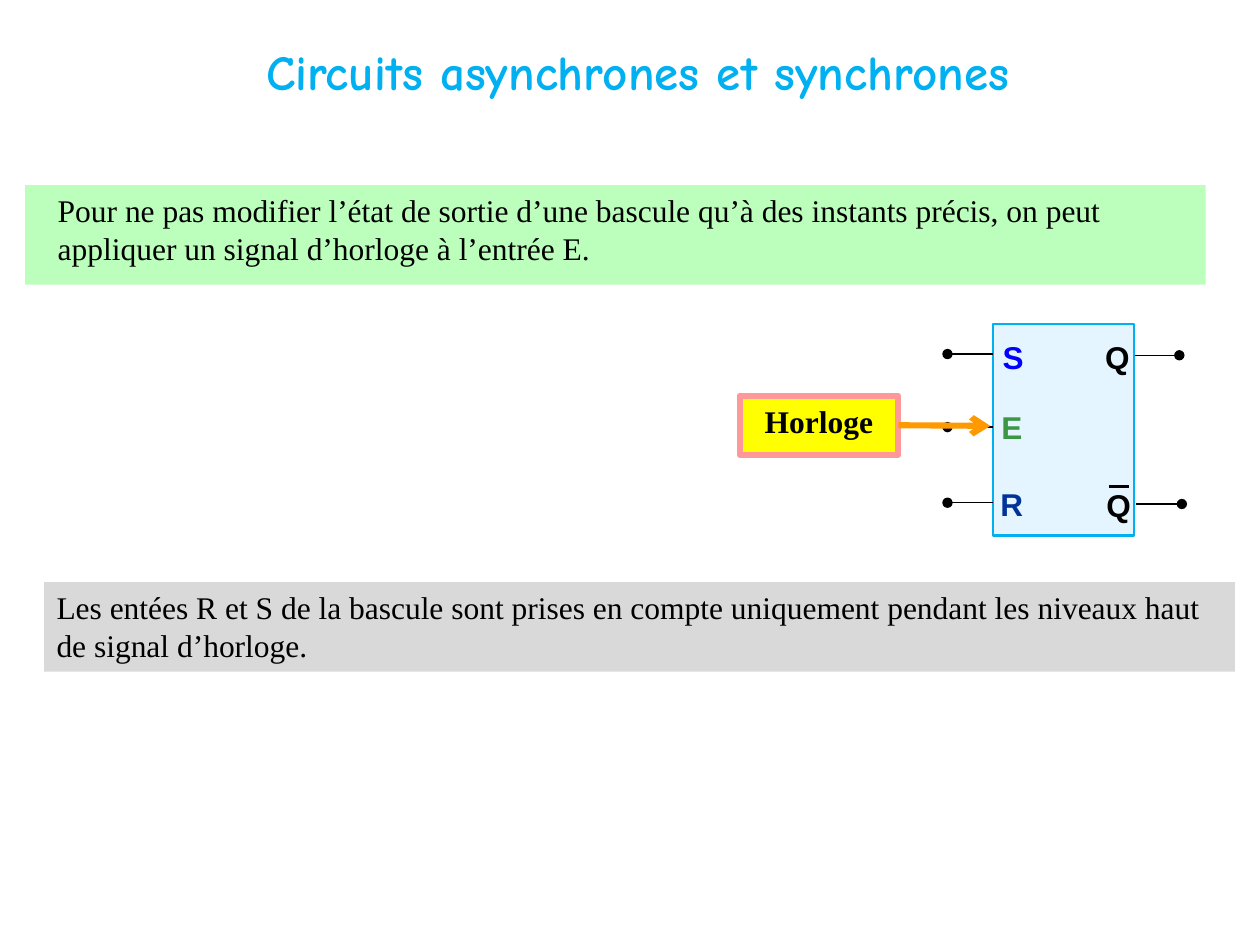
from typing import NamedTuple

from lxml.etree import SubElement
from pptx import Presentation
from pptx.dml.color import RGBColor
from pptx.enum.shapes import MSO_CONNECTOR, MSO_SHAPE
from pptx.enum.text import MSO_ANCHOR, MSO_AUTO_SIZE, PP_ALIGN
from pptx.oxml.ns import qn
from pptx.util import Inches, Pt

BLACK = RGBColor(0x00, 0x00, 0x00)
SKY = RGBColor(0x00, 0xB0, 0xF0)
PALE_BLUE = RGBColor(0xCC, 0xEC, 0xFF)
PALE_GREEN = RGBColor(0xBC, 0xFF, 0xBC)
GREY = RGBColor(0xD9, 0xD9, 0xD9)
YELLOW = RGBColor(0xFF, 0xFF, 0x00)
PINK = RGBColor(0xFF, 0x99, 0x99)
ORANGE = RGBColor(0xFF, 0x99, 0x00)
NAVY = RGBColor(0x00, 0x33, 0x99)
BLUE = RGBColor(0x00, 0x00, 0xFF)
GREEN = RGBColor(0x3B, 0x97, 0x44)
SERIF = "Times New Roman"
TAB_STOPS = [(0.62, "l"), (1, "l"), (1.5, "l"), (2.5, "l"), (4.69, "r"), (6.07, "l")]


class Pin(NamedTuple):
    name: str
    left: float
    top: float
    color: RGBColor


class Wire(NamedTuple):
    start: float
    end: float
    y: float
    width: float
    head: str = ""
    tail: str = ""
    color: RGBColor = BLACK


PINS = [
    Pin("R", 7.94, 3.85, NAVY),
    Pin("Q", 8.77, 2.68, BLACK),
    Pin("Q", 8.78, 3.86, BLACK),
    Pin("S", 7.95, 2.68, BLUE),
    Pin("E", 7.94, 3.24, GREEN),
]
WIRES = [
    Wire(8.8, 8.96, 3.86, 1.5),
    Wire(7.88, 7.52, 2.81, 1, tail="oval"),
    Wire(7.88, 7.52, 3.99, 0.75, tail="oval"),
    Wire(9.38, 9.02, 4, 0.75, head="oval"),
    Wire(9.36, 9.01, 2.82, 0.75, head="oval"),
    Wire(7.88, 7.52, 3.39, 1, tail="oval"),
]
CLOCK_ARROW = Wire(7.13, 7.86, 3.38, 3.5, tail="arrow", color=ORANGE)


def write(box, text: str, size: float, font: str, color: RGBColor, bold: bool = False,
          align=PP_ALIGN.LEFT, indent: float | None = None):
    """Write one paragraph, with the tabbed outline level when an indent is given."""
    frame = box.text_frame
    frame.word_wrap = True
    frame.vertical_anchor = MSO_ANCHOR.TOP
    paragraph = frame.paragraphs[0]
    paragraph.text = text
    paragraph.alignment = align
    if indent is not None:
        paragraph.level = 1
        properties = paragraph._p.get_or_add_pPr()
        properties.set("marL", str(Inches(indent)))
        properties.set("indent", "0")
        tabs = SubElement(properties, qn("a:tabLst"))
        for position, side in TAB_STOPS:
            SubElement(tabs, qn("a:tab"), pos=str(Inches(position)), algn=side)
    paragraph.font.size = Pt(size)
    paragraph.font.name = font
    paragraph.font.bold = bold
    paragraph.font.color.rgb = color
    return frame


def add_panel(slide, left: float, top: float, width: float, height: float,
              fill: RGBColor, line: RGBColor | None = None, weight: float = 0):
    """Add a flat rectangle."""
    panel = slide.shapes.add_shape(
        MSO_SHAPE.RECTANGLE, Inches(left), Inches(top), Inches(width), Inches(height))
    panel.shadow.inherit = False
    panel.fill.solid()
    panel.fill.fore_color.rgb = fill
    if line is None:
        panel.line.fill.background()
    else:
        panel.line.color.rgb = line
        panel.line.width = Pt(weight)
    return panel


def add_pin(slide, pin: Pin) -> None:
    """Add the letter of one terminal."""
    label = slide.shapes.add_textbox(
        Inches(pin.left), Inches(pin.top), Inches(0.18), Inches(0.3))
    frame = write(label, pin.name, 18, "Arial", pin.color, True, PP_ALIGN.CENTER)
    frame.margin_left = frame.margin_right = frame.margin_top = frame.margin_bottom = 0
    frame.vertical_anchor = MSO_ANCHOR.MIDDLE
    frame.auto_size = MSO_AUTO_SIZE.SHAPE_TO_FIT_TEXT


def add_wire(slide, wire: Wire):
    """Add a horizontal line with its end marks."""
    connector = slide.shapes.add_connector(
        MSO_CONNECTOR.STRAIGHT, Inches(wire.start), Inches(wire.y),
        Inches(wire.end), Inches(wire.y))
    connector.line.color.rgb = wire.color
    connector.line.width = Pt(wire.width)
    outline = connector.line._get_or_add_ln()
    for tag, mark in (("a:headEnd", wire.head), ("a:tailEnd", wire.tail)):
        if mark:
            SubElement(outline, qn(tag), type=mark)
    SubElement(connector._element.spPr, qn("a:effectLst"))
    return connector


def main() -> None:
    """Build the slide on asynchronous and synchronous circuits."""
    deck = Presentation()
    deck.slide_width, deck.slide_height = Inches(10), Inches(7.5)
    slide = deck.slides.add_slide(deck.slide_layouts[6])

    purpose = add_panel(slide, 0.2, 1.47, 9.37, 0.79, PALE_GREEN)
    write(purpose, "Pour ne pas modifier l’état de sortie d’une bascule qu’à des instants "
          "précis, on peut appliquer un signal d’horloge à l’entrée E.",
          18, SERIF, BLACK, indent=0.16)

    title = slide.shapes.add_textbox(Inches(1.3), Inches(0.28), Inches(7.2), Inches(0.57))
    frame = write(title, "Circuits asynchrones et synchrones", 28, "Comic Neue", SKY,
                  True, PP_ALIGN.CENTER, 0.32)
    frame.word_wrap = False
    frame.auto_size = MSO_AUTO_SIZE.SHAPE_TO_FIT_TEXT

    bascule = add_panel(slide, 7.88, 2.57, 1.12, 1.68, PALE_BLUE, SKY, 1.5)
    tint = bascule._element.spPr.find(qn("a:solidFill"))[0]
    SubElement(tint, qn("a:alpha"), val="50000")
    for pin in PINS:
        add_pin(slide, pin)
    for wire in WIRES:
        add_wire(slide, wire)

    horloge = add_panel(slide, 5.87, 3.14, 1.26, 0.47, YELLOW, PINK, 3.5)
    write(horloge, "Horloge", 18, SERIF, BLACK, True, PP_ALIGN.CENTER)
    add_wire(slide, CLOCK_ARROW).begin_connect(horloge, 3)

    remark = add_panel(slide, 0.35, 4.62, 9.45, 0.71, GREY)
    frame = write(remark, "Les entées R et S de la bascule sont prises en compte uniquement "
                  "pendant les niveaux haut de signal d’horloge.", 18, SERIF, BLACK)
    frame.auto_size = MSO_AUTO_SIZE.SHAPE_TO_FIT_TEXT

    deck.save("out.pptx")


if __name__ == "__main__":
    main()
